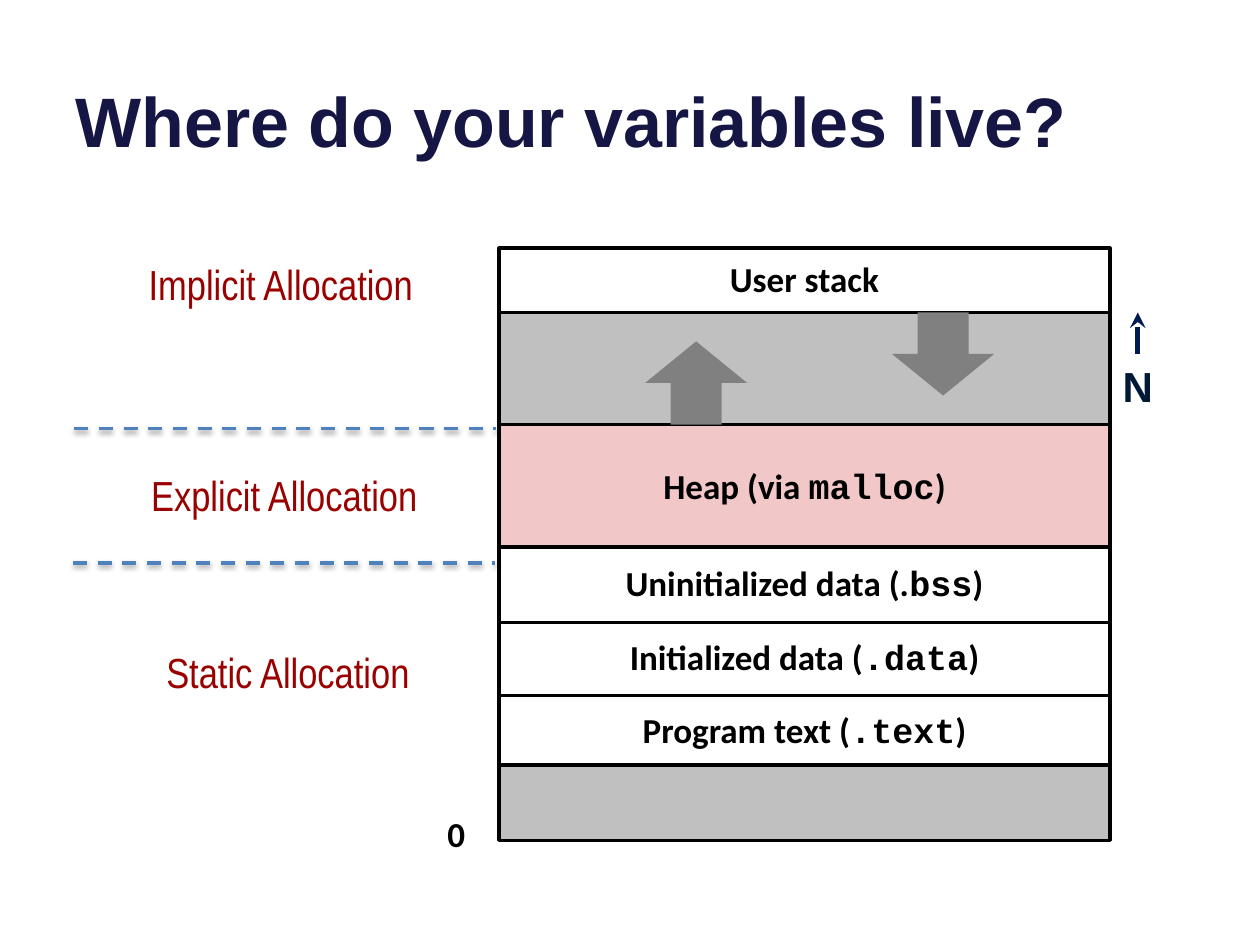
"""Build a slide showing where variables live in a process's memory."""
from lxml import etree
from pptx import Presentation
from pptx.dml.color import RGBColor
from pptx.enum.dml import MSO_LINE
from pptx.enum.shapes import MSO_CONNECTOR, MSO_SHAPE
from pptx.enum.text import MSO_ANCHOR, PP_ALIGN
from pptx.oxml import parse_xml
from pptx.oxml.ns import nsdecls, qn
from pptx.util import Inches, Pt

COLORS = {
    "title": "161645", "label": "990000", "black": "000000", "white": "FFFFFF",
    "unused": "C0C0C0", "heap": "F1C7C7", "arrow": "808080",
    "divider": "4F81BD", "north_line": "001B53", "north_text": "001934",
}
SHADOW = (
    f'<a:effectLst {nsdecls("a")}><a:outerShdw blurRad="38100" dist="20000" dir="5400000" '
    'rotWithShape="0"><a:srgbClr val="000000"><a:alpha val="38000"/></a:srgbClr>'
    '</a:outerShdw></a:effectLst>'
)


def add_run(p, text, size, font, color, bold=False):
    r = p.add_run()
    r.text = text
    r.font.size = Pt(size)
    r.font.name = font
    r.font.bold = bold
    r.font.color.rgb = RGBColor.from_string(COLORS[color])


def add_line(x1, y1, x2, y2, color, width):
    line = s.shapes.add_connector(
        MSO_CONNECTOR.STRAIGHT, Inches(x1), Inches(y1), Inches(x2), Inches(y2))
    line.line.color.rgb = RGBColor.from_string(COLORS[color])
    line.line.width = Pt(width)
    return line


prs = Presentation()
prs.slide_width, prs.slide_height = Inches(10), Inches(7.5)
s = prs.slides.add_slide(prs.slide_layouts[5])

title = s.shapes.title
title.left, title.top = Inches(0.5), Inches(-0.37)
title.width, title.height = Inches(9), Inches(1.7)
tf = title.text_frame
tf.vertical_anchor = MSO_ANCHOR.BOTTOM
p = tf.paragraphs[0]
p.alignment = PP_ALIGN.LEFT
add_run(p, "Where do your variables live?", 40, "Arial", "title", True)

segments = [
    (2.45, 0.92, "unused", []),
    (3.37, 0.99, "heap", ["Heap (via ", "malloc", ")"]),
    (5.5, 0.6, "white", ["Program text (", ".text", ")"]),
    (4.92, 0.6, "white", ["Initialized data (", ".data", ")"]),
    (4.34, 0.6, "white", ["Uninitialized data (.", "bss", ")"]),
    (1.97, 0.51, "white", ["User stack"]),
    (6.07, 0.6, "unused", []),
]
for top, height, fill, parts in segments:
    sp = s.shapes.add_shape(
        MSO_SHAPE.RECTANGLE, Inches(3.96), Inches(top), Inches(4.85), Inches(height))
    sp.shadow.inherit = False
    sp.fill.solid()
    sp.fill.fore_color.rgb = RGBColor.from_string(COLORS[fill])
    sp.line.color.rgb = RGBColor.from_string(COLORS["black"])
    sp.line.width = Pt(2)
    tf = sp.text_frame
    tf.vertical_anchor = MSO_ANCHOR.MIDDLE
    p = tf.paragraphs[0]
    p.alignment = PP_ALIGN.CENTER
    p.line_spacing = 0.98
    for text, font in zip(parts, ["Calibri", "Courier New", "Calibri"]):
        add_run(p, text, 20, font, "black", True)

for kind, left, top in [(MSO_SHAPE.DOWN_ARROW, 7.08, 2.48), (MSO_SHAPE.UP_ARROW, 5.12, 2.71)]:
    sp = s.shapes.add_shape(kind, Inches(left), Inches(top), Inches(0.81), Inches(0.66))
    sp.shadow.inherit = False
    sp.fill.solid()
    sp.fill.fore_color.rgb = RGBColor.from_string(COLORS["arrow"])
    sp.line.fill.background()

for x, y in [(0.58, 4.47), (0.59, 3.4)]:
    divider = add_line(x, y, x + 3.35, y, "divider", 2)
    divider.line.dash_style = MSO_LINE.DASH
    divider._element.spPr.append(parse_xml(SHADOW))

north = add_line(9.03, 2.81, 9.03, 2.48, "north_line", 3)
etree.SubElement(north.line._get_or_add_ln(), qn("a:tailEnd"), type="stealth")
etree.SubElement(north._element.spPr, qn("a:effectLst"))

labels = [
    ("0", 3.5, 6.4, 0.25, 0.43, 20, "Calibri", "black", True, PP_ALIGN.LEFT),
    ("Implicit Allocation", 1.13, 2, 2.54, 0.5, 24, "Arial Narrow", "label", False, PP_ALIGN.LEFT),
    ("Explicit Allocation", 1.15, 3.68, 2.5, 0.5, 24, "Arial Narrow", "label", False, PP_ALIGN.LEFT),
    ("Static Allocation", 1.27, 5.08, 2.27, 0.5, 24, "Arial Narrow", "label", False, PP_ALIGN.LEFT),
    ("N", 8.24, 2.81, 1.58, 0.5, 24, "Arial", "north_text", True, PP_ALIGN.CENTER),
]
for text, left, top, width, height, size, font, color, bold, align in labels:
    box = s.shapes.add_textbox(Inches(left), Inches(top), Inches(width), Inches(height))
    tf = box.text_frame
    tf.word_wrap = True
    tf.margin_left = tf.margin_right = tf.margin_top = tf.margin_bottom = Inches(0.05)
    p = tf.paragraphs[0]
    p.alignment = align
    add_run(p, text, size, font, color, bold)

prs.save("out.pptx")
